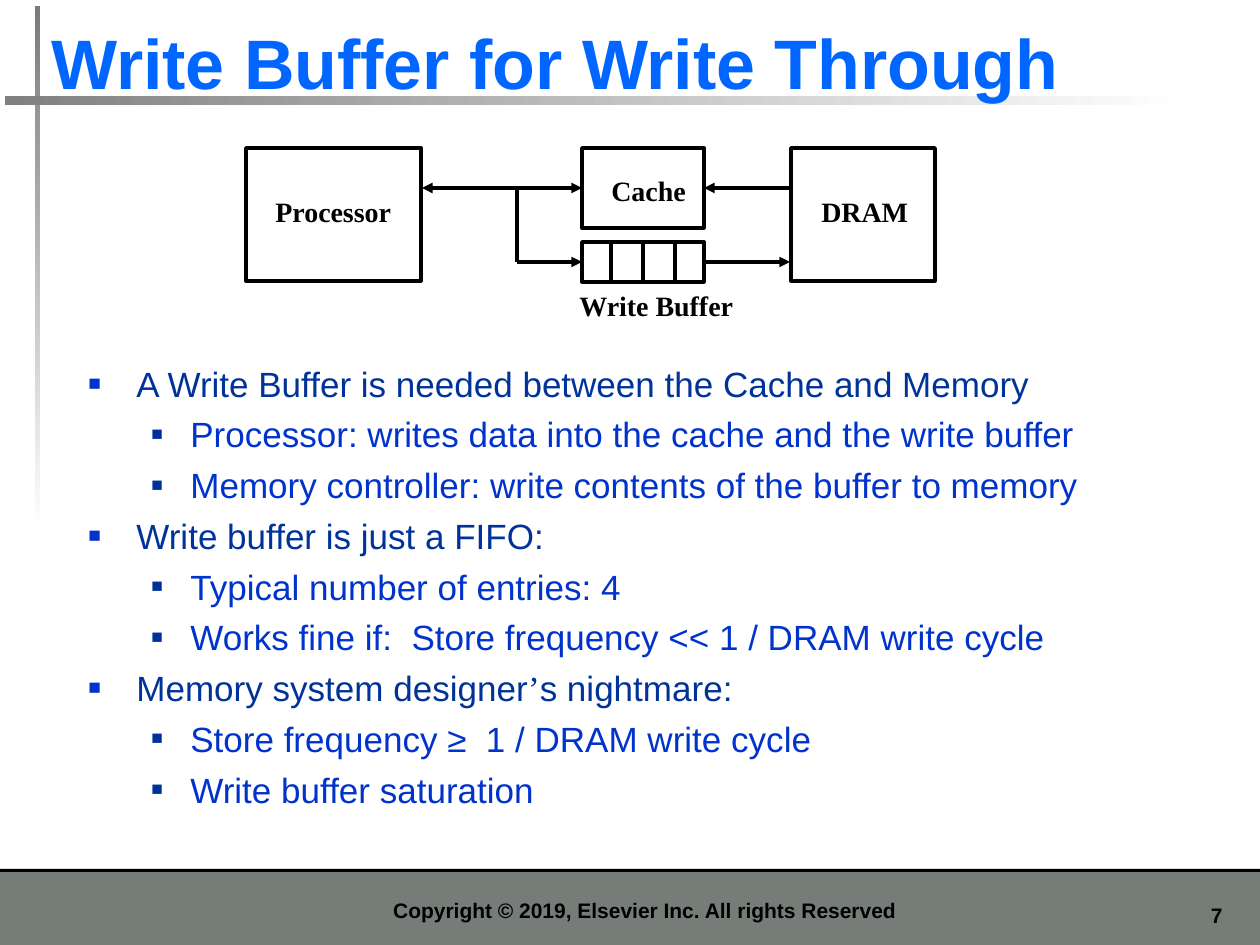
import pptx
import pptx.dml.color
import pptx.enum.shapes
import pptx.enum.text
import pptx.oxml.ns
import pptx.util
from lxml import etree

PX = 914400 / 126
COLORS = {
    "black": "000000", "white": "FFFFFF", "footer": "767D79", "bar": "808080",
    "title": "0066FF", "navy": "003399", "blue": "0033CC",
}
ALIGN = pptx.enum.text.PP_ALIGN
ANCHOR = pptx.enum.text.MSO_ANCHOR
RECT = pptx.enum.shapes.MSO_SHAPE.RECTANGLE
TOP, LEFT, BOTTOM, RIGHT = range(4)

# level: (left margin px, hanging px, bullet colour, bullet size %, text colour)
LEVELS = [(48, 48, "blue", 60, "navy"), (102, 39, "navy", 55, "blue")]
BULLETS = [
    (0, "A Write Buffer is needed between the Cache and Memory"),
    (1, "Processor: writes data into the cache and the write buffer"),
    (1, "Memory controller: write contents of the buffer to memory"),
    (0, "Write buffer is just a FIFO:"),
    (1, "Typical number of entries: 4"),
    (1, "Works fine if:  Store frequency << 1 / DRAM write cycle"),
    (0, "Memory system designer’s nightmare:"),
    (1, "Store frequency ≥  1 / DRAM write cycle"),
    (1, "Write buffer saturation"),
]


def px(n):
    return pptx.util.Emu(round(n * PX))


def rgb(name):
    return pptx.dml.color.RGBColor.from_string(COLORS[name])


def sub(parent, tag, **attrs):
    return etree.SubElement(parent, pptx.oxml.ns.qn(tag), attrs)


def style(p, size, color, font="Arial", bold=False):
    p.font.size = pptx.util.Pt(size)
    p.font.name = font
    p.font.bold = bold
    p.font.color.rgb = rgb(color)


def add_rect(s, x, y, w, h):
    sp = s.shapes.add_shape(RECT, px(x), px(y), px(w), px(h))
    sp.shadow.inherit = False
    return sp


def add_bar(s, x, y, w, h, color):
    sp = add_rect(s, x, y, w, h)
    sp.fill.solid()
    sp.fill.fore_color.rgb = rgb(color)
    sp.line.fill.background()


def add_fading_bar(s, x, y, w, h, color, angle):
    sp = add_rect(s, x, y, w, h)
    sp.fill.gradient()
    sp.fill.gradient_angle = angle
    for stop, name in zip(sp.fill.gradient_stops, (color, "white")):
        stop.color.rgb = rgb(name)
    sp.line.fill.background()


def add_block(s, x, y, w, h):
    """Outlined box of the diagram."""
    sp = add_rect(s, x, y, w, h)
    sp.fill.background()
    sp.line.color.rgb = rgb("black")
    sp.line.width = pptx.util.Pt(2)
    return sp


def add_line(s, x1, y1, x2, y2, head=False, tail=False):
    c = s.shapes.add_connector(
        pptx.enum.shapes.MSO_CONNECTOR.STRAIGHT, px(x1), px(y1), px(x2), px(y2))
    c.line.color.rgb = rgb("black")
    c.line.width = pptx.util.Pt(2)
    ln = c.line._get_or_add_ln()
    for tag, wanted in (("a:headEnd", head), ("a:tailEnd", tail)):
        if wanted:
            sub(ln, tag, type="triangle")
    sub(c._element.spPr, "a:effectLst")
    return c


def add_text(s, x, y, w, h, text, size, color="black", font="Arial",
             align=ALIGN.LEFT, anchor=ANCHOR.TOP, wrap=True):
    tf = s.shapes.add_textbox(px(x), px(y), px(w), px(h)).text_frame
    tf.word_wrap = wrap
    tf.vertical_anchor = anchor
    p = tf.paragraphs[0]
    p.add_run().text = text
    p.alignment = align
    style(p, size, color, font, bold=True)


def add_label(s, x, y, w, text):
    add_text(s, x, y, w, 45, text, 16, font="Times New Roman", wrap=False)


def add_bullet(p, level, text):
    margin, hanging, bullet_color, bullet_size, color = LEVELS[level]
    p.level = level
    pPr = p._p.get_or_add_pPr()
    pPr.set("marL", str(px(margin)))
    pPr.set("indent", str(px(-hanging)))
    sub(sub(pPr, "a:buClr"), "a:srgbClr", val=COLORS[bullet_color])
    sub(pPr, "a:buSzPct", val=str(bullet_size * 1000))
    sub(pPr, "a:buFont", typeface="Arial")
    sub(pPr, "a:buChar", char="■")
    style(p, 20, color)
    for i, part in enumerate(text.split("’")):
        if i:
            r = p.add_run()
            r.text = "’"
            r.font.name = "Times New Roman"
        p.add_run().text = part


def add_bullets(s, x, y, w, h):
    tf = s.shapes.add_textbox(px(x), px(y), px(w), px(h)).text_frame
    tf.word_wrap = True
    for i, (level, text) in enumerate(BULLETS):
        p = tf.add_paragraph() if i else tf.paragraphs[0]
        add_bullet(p, level, text)
        if i:
            p.space_before = pptx.util.Pt(5)


def add_frame(s):
    """Footer band, page number and the two fading bars."""
    add_bar(s, 0, 870, 1260, 75, "footer")
    add_bar(s, 0, 869, 1260, 3, "black")
    add_text(s, 1155, 896, 80, 38, "7", 12, align=ALIGN.RIGHT)
    add_fading_bar(s, 35, 6, 5, 525, "footer", 270)
    add_fading_bar(s, 5, 96, 1181, 9, "bar", 0)
    add_text(s, 144, 880, 1002, 49,
             "Copyright © 2019, Elsevier Inc. All rights Reserved", 12,
             align=ALIGN.CENTER, anchor=ANCHOR.BOTTOM)


def add_diagram(s):
    read_y, write_y, branch_x = 188, 262, 517
    add_block(s, 246, 148, 175, 133)
    add_label(s, 263, 188, 141, "Processor")
    cache = add_block(s, 582, 148, 122, 80)
    add_label(s, 599, 167, 100, "Cache")
    buffer = add_block(s, 582, 242, 122, 40)
    for i in range(3):
        x = 611 + i * 32
        add_line(s, x, 241, x, 282)
    add_label(s, 567, 282, 180, "Write Buffer")
    add_block(s, 791, 148, 144, 133)
    add_label(s, 809, 188, 112, "DRAM")

    add_line(s, branch_x, read_y, branch_x, write_y)
    c = add_line(s, branch_x, write_y, 582, write_y, tail=True)
    c.end_connect(buffer, LEFT)
    c = add_line(s, 422, read_y, 582, read_y, head=True, tail=True)
    c.end_connect(cache, LEFT)
    c = add_line(s, 704, write_y, 790, write_y, tail=True)
    c.begin_connect(buffer, RIGHT)
    c = add_line(s, 704, read_y, 790, read_y, head=True)
    c.begin_connect(cache, RIGHT)


def main():
    prs = pptx.Presentation()
    prs.slide_width, prs.slide_height = px(1260), px(945)
    s = prs.slides.add_slide(prs.slide_layouts[6])
    add_frame(s)
    add_text(s, 39, 13, 1142, 97, "Write Buffer for Write Through", 40,
             color="title", anchor=ANCHOR.BOTTOM)
    add_bullets(s, 76, 356, 1137, 469)
    add_diagram(s)
    prs.save("out.pptx")


if __name__ == "__main__":
    main()
